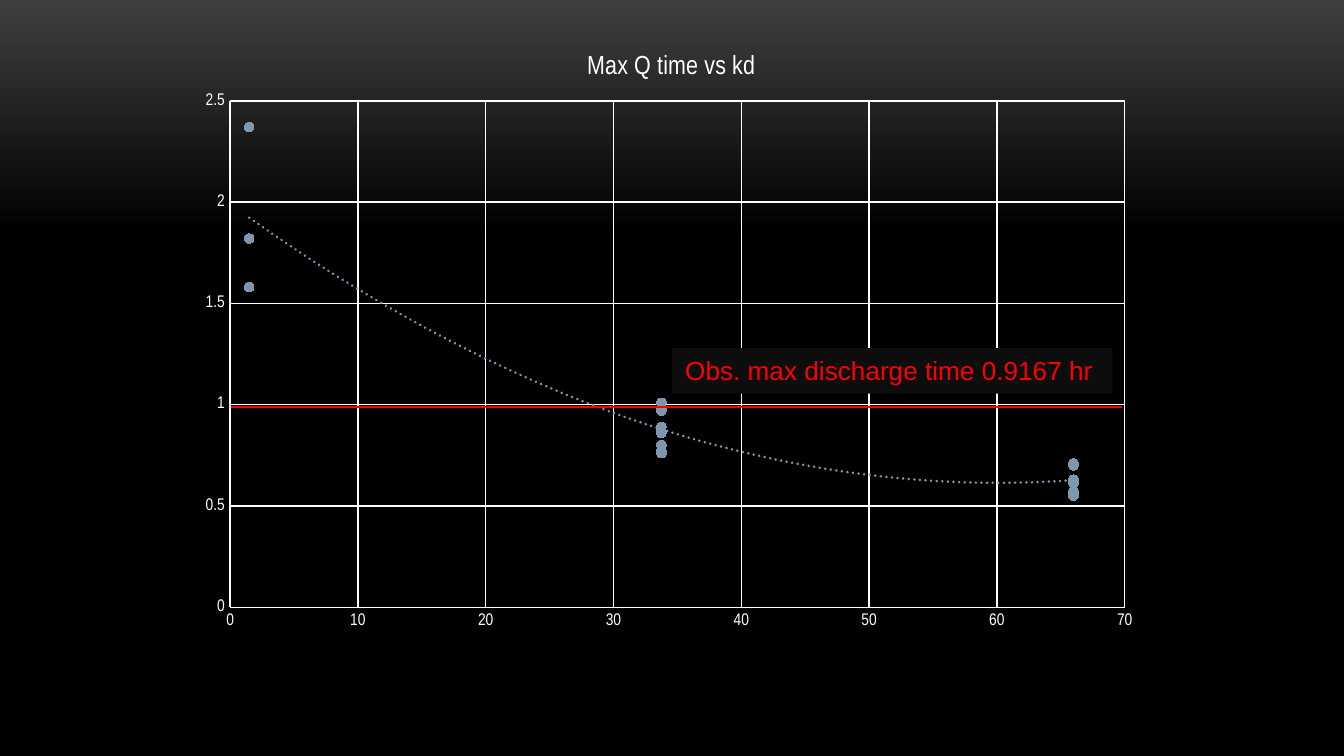
"""Build a slide with a scatter chart of peak discharge time against kd."""
import itertools

import lxml.etree
import pptx
import pptx.chart.data
import pptx.dml.color
import pptx.enum.chart
import pptx.enum.dml
import pptx.enum.shapes
import pptx.enum.text
import pptx.oxml
import pptx.oxml.ns
import pptx.util

Pt = pptx.util.Pt
COLORS = {"white": "FFFFFF", "black": "000000", "gray": "3F3F3F",
          "panel": "0D0D0D", "red": "FF0000", "steel": "7E97AD"}
KD = [1.5, 33.75, 66]
LOW_KD_TIMES = [2.37, 1.82, 1.58]
MID_KD_TIMES = [1.01, 0.98, 0.97, 0.89, 0.87, 0.86, 0.8, 0.77, 0.76]
HIGH_KD_TIMES = [0.71, 0.7, 0.7, 0.63, 0.62, 0.61, 0.57, 0.56, 0.55]
TRENDLINE = """<c:trendline {ns}><c:spPr><a:ln w="{width}" cap="rnd">
<a:solidFill><a:srgbClr val="{color}"/></a:solidFill><a:prstDash val="sysDot"/></a:ln></c:spPr>
<c:trendlineType val="poly"/><c:order val="2"/><c:dispRSqr val="0"/><c:dispEq val="0"/></c:trendline>"""
LAYOUT = """<c:layout {ns}><c:manualLayout>{parts}</c:manualLayout></c:layout>"""


def color(name):
    return pptx.dml.color.RGBColor.from_string(COLORS[name])


class SlideBuilder:
    def __init__(self, slide, font, size):
        self.slide, self.font, self.size = slide, font, size
        self.ns = pptx.oxml.ns.nsdecls("c", "a")

    def background(self, top, bottom, end):
        fill = self.slide.background.fill
        fill.gradient()
        fill.gradient_angle = 270
        for stop, name, position in zip(fill.gradient_stops, (top, bottom), (0, end)):
            stop.color.rgb = color(name)
            stop.position = position

    def style_font(self, font, size, name="white", family=None):
        font.name, font.size, font.bold = family or self.font, Pt(size), False
        font.color.rgb = color(name)

    def style_line(self, line, name, width=0.75):
        line.color.rgb = color(name)
        line.width = Pt(width)

    def layout(self, **values):
        modes = {"xMode": "edge", "yMode": "edge"}
        target = {"layoutTarget": "inner"} if "w" in values else {}
        parts = "".join(f'<c:{key} val="{value}"/>'
                        for key, value in {**target, **modes, **values}.items())
        return pptx.oxml.parse_xml(LAYOUT.format(ns=self.ns, parts=parts))

    def axis(self, axis, maximum, step):
        axis.minimum_scale, axis.maximum_scale, axis.major_unit = 0, maximum, step
        axis.has_major_gridlines = True
        axis.major_tick_mark = axis.minor_tick_mark = pptx.enum.chart.XL_TICK_MARK.NONE
        axis.tick_labels.number_format = "General"
        axis.tick_labels.number_format_is_linked = False
        self.style_font(axis.tick_labels.font, 9)
        self.style_line(axis.format.line, "white")
        self.style_line(axis.major_gridlines.format.line, "white")

    def chart(self, title, points, left, top, width, height):
        data = pptx.chart.data.XyChartData()
        series_data = data.add_series("Series 1")
        for x, y in points:
            series_data.add_data_point(x, y)
        chart = self.slide.shapes.add_chart(
            pptx.enum.chart.XL_CHART_TYPE.XY_SCATTER,
            Pt(left), Pt(top), Pt(width), Pt(height), data).chart
        self.style_font(chart.font, self.size)
        chart.has_legend = False
        chart.has_title = True
        frame = chart.chart_title.text_frame
        frame.text = title
        self.style_font(frame.paragraphs[0].font, 14)
        heading = chart.chart_title._element
        plot_area = chart.plots[0]._element.getparent()
        for old in heading.findall(pptx.oxml.ns.qn("c:layout")):
            heading.remove(old)
        for old in plot_area.findall(pptx.oxml.ns.qn("c:layout")):
            plot_area.remove(old)
        heading.find(pptx.oxml.ns.qn("c:tx")).addnext(self.layout(x=0.41, y=0.04))
        plot_area.insert(0, self.layout(x=0.045, y=0.126, w=0.927, h=0.816))
        self.axis(chart.category_axis, 70, 10)
        self.axis(chart.value_axis, 2.5, 0.5)
        chart.plots[0].vary_by_categories = False
        self.series(chart.plots[0].series[0], "steel")

    def series(self, series, name):
        series.format.line.fill.background()
        series.marker.style = pptx.enum.chart.XL_MARKER_STYLE.CIRCLE
        series.marker.size = 5
        series.marker.format.fill.solid()
        series.marker.format.fill.fore_color.rgb = color(name)
        self.style_line(series.marker.format.line, name)
        trend = TRENDLINE.format(ns=self.ns, width=Pt(1.5), color=COLORS[name])
        series._element.find(pptx.oxml.ns.qn("c:xVal")).addprevious(pptx.oxml.parse_xml(trend))

    def rule(self, shapes, left, right, y, name):
        line = shapes.add_connector(pptx.enum.shapes.MSO_CONNECTOR.STRAIGHT,
                                    Pt(left), Pt(y), Pt(right), Pt(y))
        self.style_line(line.line, name)
        lxml.etree.SubElement(line._element.spPr, pptx.oxml.ns.qn("a:effectLst"))

    def label(self, shapes, text, left, top, width, height):
        box = shapes.add_textbox(Pt(left), Pt(top), Pt(width), Pt(height))
        box.fill.solid()
        box.fill.fore_color.rgb = color("panel")
        frame = box.text_frame
        frame.word_wrap = True
        frame.auto_size = pptx.enum.text.MSO_AUTO_SIZE.SHAPE_TO_FIT_TEXT
        frame.text = text
        self.style_font(frame.paragraphs[0].font, 14, "red", "Arial")

    def observed_time(self, text):
        shapes = self.slide.shapes.add_group_shape().shapes
        self.rule(shapes, 124, 601, 218, "red")
        self.label(shapes, text, 360, 186.5, 236, 24.5)


def main():
    deck = pptx.Presentation()
    deck.slide_width, deck.slide_height = Pt(720), Pt(405)
    builder = SlideBuilder(deck.slides.add_slide(deck.slide_layouts[6]), "Arial Narrow", 10)
    builder.background("gray", "black", 0.31)
    rows = zip(itertools.cycle(LOW_KD_TIMES), MID_KD_TIMES, HIGH_KD_TIMES)
    points = [point for row in rows for point in zip(KD, row)]
    builder.chart("Max Q time vs kd", points, 100, 12.2, 517, 332.6)
    builder.observed_time("Obs. max discharge time 0.9167 hr")
    deck.save("out.pptx")


if __name__ == "__main__":
    main()
